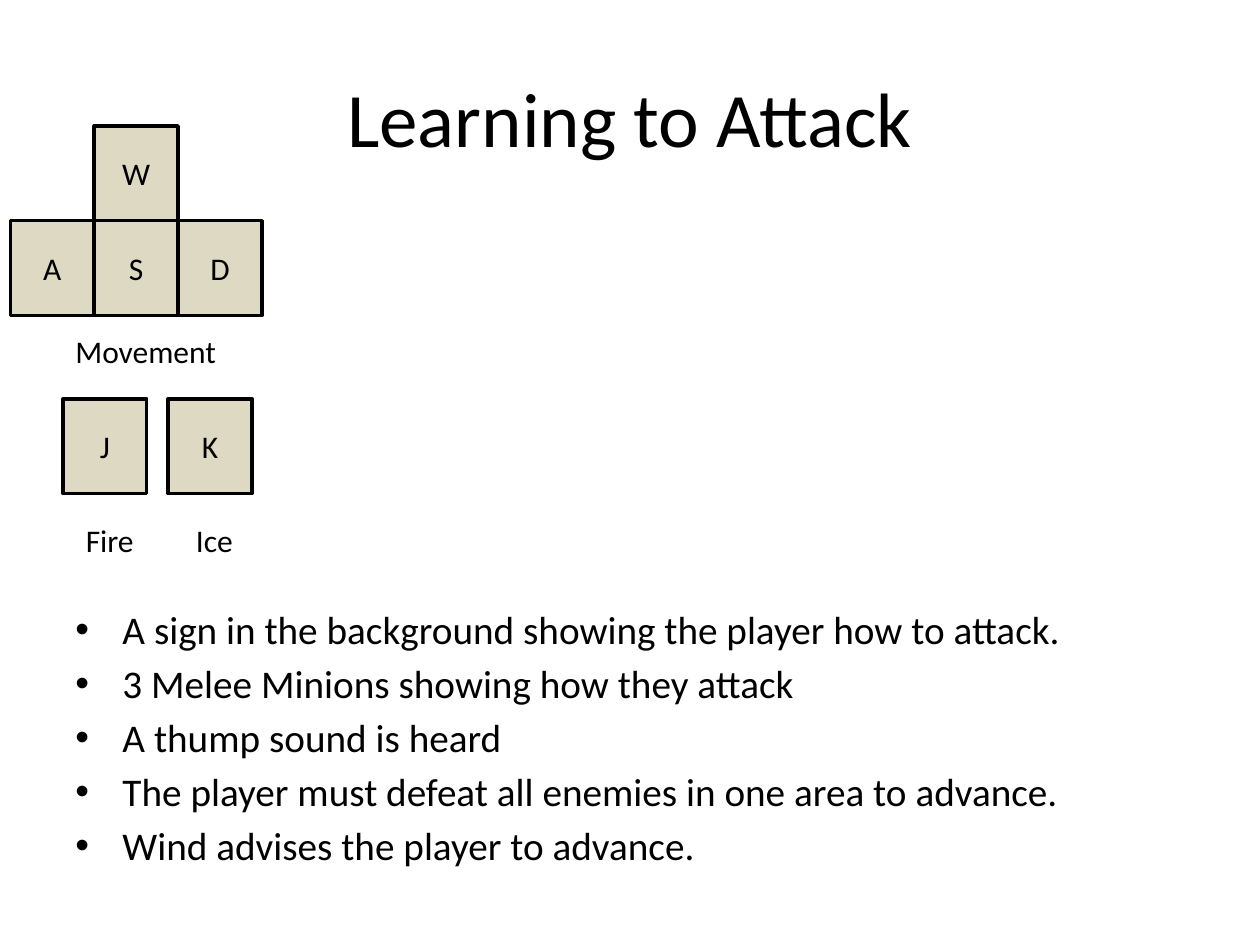
from typing import NamedTuple

from lxml.etree import SubElement
from pptx import Presentation
from pptx.dml.color import RGBColor
from pptx.enum.shapes import MSO_SHAPE
from pptx.enum.text import MSO_ANCHOR, MSO_AUTO_SIZE, PP_ALIGN
from pptx.oxml.ns import qn
from pptx.slide import Slide
from pptx.text.text import _Paragraph
from pptx.util import Cm, Pt

BLACK = RGBColor(0x00, 0x00, 0x00)
KEY_FILL = RGBColor(0xDD, 0xD9, 0xC3)

KEY_WIDTH, KEY_HEIGHT = 1.69, 1.91
PAD_LEFT, PAD_TOP = 0.21, 2.54
ATTACK_LEFT, ATTACK_TOP, ATTACK_PITCH = 1.27, 8.04, 2.12


class Key(NamedTuple):
    letter: str
    left: float
    top: float


class Label(NamedTuple):
    text: str
    left: float
    top: float
    width: float


MOVEMENT_KEYS = [
    Key(letter, PAD_LEFT + column * KEY_WIDTH, PAD_TOP + row * KEY_HEIGHT)
    for letter, column, row in [("W", 1, 0), ("S", 1, 1), ("D", 2, 1), ("A", 0, 1)]
]
ATTACK_KEYS = [
    Key(letter, ATTACK_LEFT + index * ATTACK_PITCH, ATTACK_TOP)
    for index, letter in enumerate("JK")
]
LABELS = [
    Label("Movement", 1.27, 6.56, 3.38),
    Label("Fire", 1.48, 10.37, 1.5),
    Label("Ice", 3.7, 10.37, 1.27),
]
NOTES = [
    "A sign in the background showing the player how to attack.",
    "3 Melee Minions showing how they attack",
    "A thump sound is heard",
    "The player must defeat all enemies in one area to advance.",
    "Wind advises the player to advance.",
]


def style_font(para: _Paragraph, size: float) -> None:
    for name, value in {"name": "Calibri", "size": Pt(size)}.items():
        setattr(para.font, name, value)
    para.font.color.rgb = BLACK


def add_bullet(para: _Paragraph) -> None:
    """Give the paragraph a round bullet with a hanging indent."""
    properties = para._p.get_or_add_pPr()
    indent = Cm(0.95)
    for name, value in {"marL": indent, "indent": -indent}.items():
        properties.set(name, str(value))
    SubElement(properties, qn("a:buFont"), typeface="Arial")
    SubElement(properties, qn("a:buChar"), char="•")


def add_title(page: Slide, text: str) -> None:
    box = page.shapes.add_textbox(Cm(1.27), Cm(0.76), Cm(22.86), Cm(3.18))
    frame = box.text_frame
    frame.word_wrap = True
    frame.vertical_anchor = MSO_ANCHOR.MIDDLE
    para = frame.paragraphs[0]
    para.text = text
    para.alignment = PP_ALIGN.CENTER
    style_font(para, 44)


def add_notes(page: Slide, lines: list[str]) -> None:
    box = page.shapes.add_textbox(Cm(1.27), Cm(12.07), Cm(22.86), Cm(4.95))
    frame = box.text_frame
    frame.word_wrap = True
    for index, line in enumerate(lines):
        para = frame.add_paragraph() if index else frame.paragraphs[0]
        para.text = line
        add_bullet(para)
        if index:
            para.space_before = Pt(4.1)
        style_font(para, 22.4)


def add_key(page: Slide, key: Key) -> None:
    box = page.shapes.add_shape(
        MSO_SHAPE.RECTANGLE, Cm(key.left), Cm(key.top), Cm(KEY_WIDTH), Cm(KEY_HEIGHT)
    )
    box.shadow.inherit = False
    box.fill.solid()
    box.fill.fore_color.rgb = KEY_FILL
    box.line.color.rgb = BLACK
    box.line.width = Pt(2)
    box.text_frame.vertical_anchor = MSO_ANCHOR.MIDDLE
    para = box.text_frame.paragraphs[0]
    para.text = key.letter
    para.alignment = PP_ALIGN.CENTER
    style_font(para, 18)


def add_label(page: Slide, label: Label) -> None:
    box = page.shapes.add_textbox(
        Cm(label.left), Cm(label.top), Cm(label.width), Cm(1.03)
    )
    frame = box.text_frame
    frame.word_wrap = False
    frame.auto_size = MSO_AUTO_SIZE.SHAPE_TO_FIT_TEXT
    para = frame.paragraphs[0]
    para.text = label.text
    style_font(para, 18)


def main() -> None:
    deck = Presentation()
    deck.slide_width, deck.slide_height = Cm(25.4), Cm(19.05)
    page = deck.slides.add_slide(deck.slide_layouts[6])
    add_title(page, "Learning to Attack")
    add_notes(page, NOTES)
    for key in MOVEMENT_KEYS + ATTACK_KEYS:
        add_key(page, key)
    for label in LABELS:
        add_label(page, label)
    deck.save("out.pptx")


if __name__ == "__main__":
    main()
